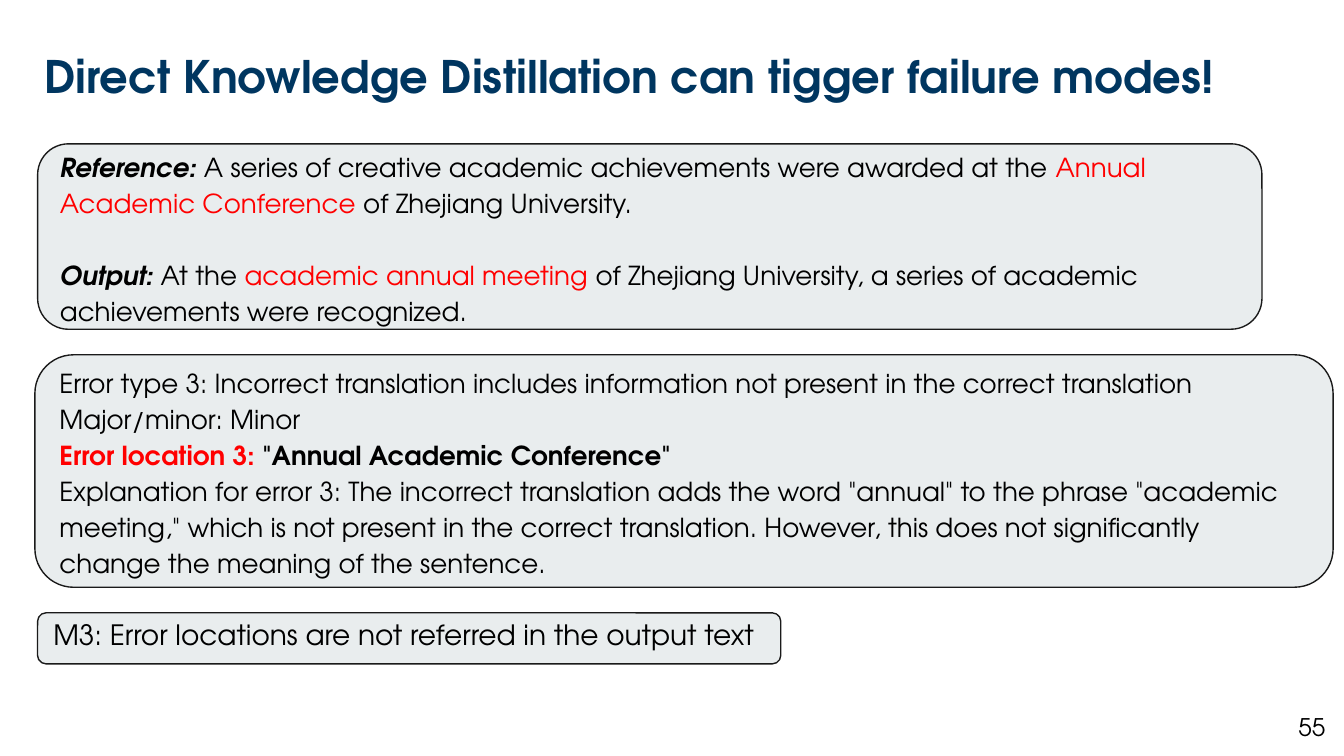
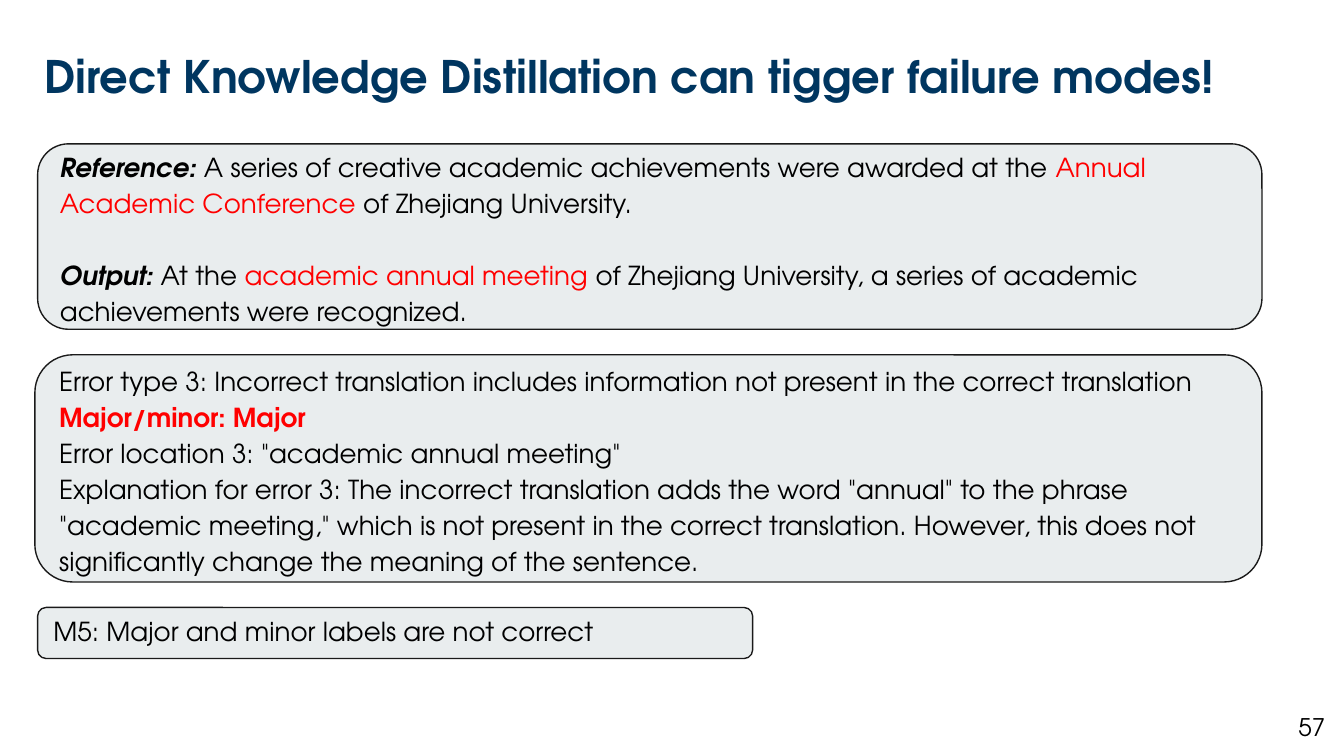
"""Build two slides on failure modes of direct knowledge distillation."""
from pptx import Presentation
from pptx.dml.color import RGBColor
from pptx.enum.shapes import MSO_SHAPE
from pptx.enum.text import MSO_ANCHOR, MSO_AUTO_SIZE, PP_ALIGN
from pptx.util import Pt

PX = 4572
FONT = "TeX Gyre Adventor"
NAVY, BLACK, RED = "003660", "000000", "FF0000"
PANEL_FILL, PANEL_LINE = "E9EDEE", "1A1A1A"
PLAIN, LABEL, MARKED, STRONG, ALERT = (
    (BLACK, False, False), (BLACK, True, True), (RED, False, False),
    (BLACK, True, False), (RED, True, False))


def color(value):
    return RGBColor.from_string(value)


def write(shape, paragraphs, size, spacing=1.0, inset=20, anchor=MSO_ANCHOR.MIDDLE,
          align=PP_ALIGN.LEFT, gap=0, lift=0):
    frame = shape.text_frame
    frame.word_wrap = True
    frame.auto_size = MSO_AUTO_SIZE.NONE
    frame.vertical_anchor = anchor
    frame.margin_left = frame.margin_right = 20 * PX
    frame.margin_top = inset * PX
    frame.margin_bottom = (inset + lift) * PX
    frame.text = "\n".join("" for _ in paragraphs)
    for index, (paragraph, runs) in enumerate(zip(frame.paragraphs, paragraphs)):
        paragraph.alignment = align
        paragraph.line_spacing = spacing
        if index and gap:
            paragraph.space_before = Pt(gap)
        for text, (ink, bold, italic) in runs:
            run = paragraph.add_run()
            run.text = text
            run.font.name = FONT
            run.font.size = Pt(size)
            run.font.bold = bold
            run.font.italic = italic
            run.font.color.rgb = color(ink)


TITLE = "Direct Knowledge Distillation can tigger failure modes!"
EXAMPLE = [
    [("Reference: ", LABEL),
     ("A series of creative academic achievements were awarded at the ", PLAIN),
     ("Annual Academic Conference", MARKED),
     (" of Zhejiang University.", PLAIN)],
    [("Output: ", LABEL),
     ("At the ", PLAIN),
     ("academic annual meeting", MARKED),
     (" of Zhejiang University, a series of academic achievements were recognized.", PLAIN)],
]
ERROR_TYPE = [("Error type 3: Incorrect translation includes information not present "
               "in the correct translation", PLAIN)]
EXPLANATION = [("Explanation for error 3: The incorrect translation adds the word \"annual\" "
                "to the phrase \"academic meeting,\" which is not present in the correct "
                "translation. However, this does not significantly change the meaning of "
                "the sentence.", PLAIN)]
SLIDES = [
    {"number": "55",
     "findings": [[("Major/minor: Minor", PLAIN)],
                  [("Error location 3: ", ALERT), ("\"Annual Academic Conference\"", STRONG)]],
     "report_size": (1932, 346),
     "mode": "M3: Error locations are not referred in the output text",
     "mode_box": (56, 912, 1106, 76), "mode_points": 15, "mode_lift": 12},
    {"number": "57",
     "findings": [[("Major/minor: Major", ALERT)],
                  [("Error location 3: \"academic annual meeting\"", PLAIN)]],
     "report_size": (1826, 338),
     "mode": "M5: Major and minor labels are not correct",
     "mode_box": (56, 904, 1064, 76), "mode_points": 14, "mode_lift": 6},
]

presentation = Presentation()
presentation.slide_width = 2000 * PX
presentation.slide_height = 1125 * PX
title_only = presentation.slide_layouts[5]

for content in SLIDES:
    slide = presentation.slides.add_slide(title_only)
    title = slide.shapes.title
    title.left, title.top, title.width, title.height = (n * PX for n in (46, 72, 1822, 76))
    write(title, [[(TITLE, (NAVY, True, False))]], 24, 0.9, 10, MSO_ANCHOR.TOP)

    report = [ERROR_TYPE, *content["findings"], EXPLANATION]
    mode = [[(content["mode"], PLAIN)]]
    panels = [
        ((56, 214, 1822, 276), EXAMPLE, 14, 1.15, 19.3, 0),
        ((52, 528, *content["report_size"]), report, 14, 1.15, 0, 0),
        (content["mode_box"], mode, content["mode_points"], 1.0, 0, content["mode_lift"]),
    ]
    for box, paragraphs, points, spacing, gap, lift in panels:
        panel = slide.shapes.add_shape(MSO_SHAPE.ROUNDED_RECTANGLE, *(n * PX for n in box))
        panel.shadow.inherit = False
        panel.fill.solid()
        panel.fill.fore_color.rgb = color(PANEL_FILL)
        panel.line.color.rgb = color(PANEL_LINE)
        panel.line.width = Pt(0.75)
        write(panel, paragraphs, points, spacing, gap=gap, lift=lift)

    page_number = slide.shapes.add_textbox(*(n * PX for n in (1872, 1038, 120, 86)))
    write(page_number, [[(content["number"], PLAIN)]], 13, align=PP_ALIGN.RIGHT)

presentation.save("out.pptx")
